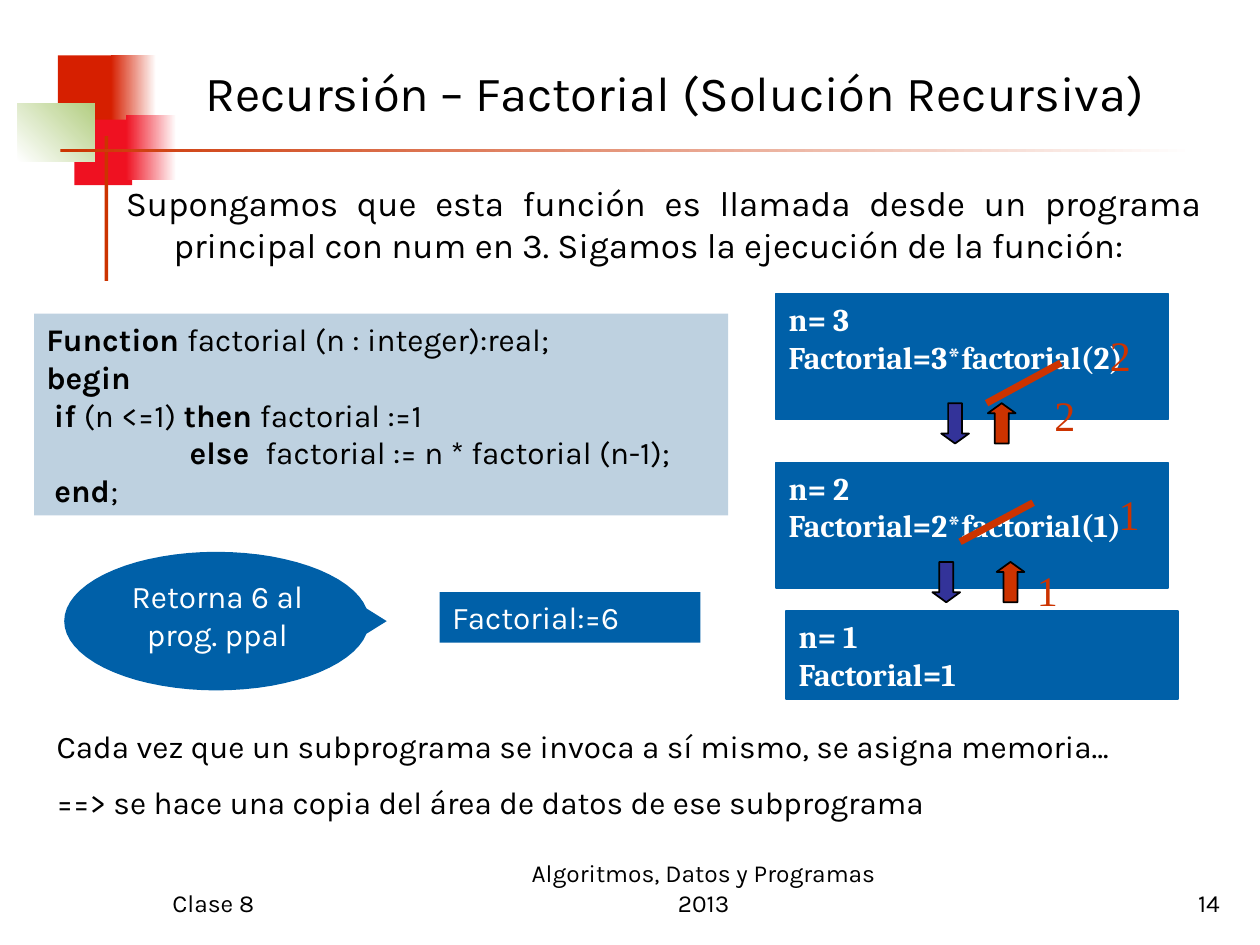
import math

import pptx
import pptx.dml.color
import pptx.enum.shapes
import pptx.enum.text
import pptx.oxml
import pptx.oxml.ns
import pptx.util

Inches = pptx.util.Inches
Pt = pptx.util.Pt
SHAPES = pptx.enum.shapes.MSO_SHAPE
ALIGN = pptx.enum.text.PP_ALIGN
ANCHOR = pptx.enum.text.MSO_ANCHOR

COLORS = {
    "white": "FFFFFF", "black": "000000", "blue": "0060A8", "code": "BED1E0",
    "call": "333399", "return": "CC3300", "orange": "D61F00", "red": "EF1121",
    "green": "B3CE82",
}


def rgb(name):
    return pptx.dml.color.RGBColor.from_string(COLORS[name])


class SlideBuilder:
    def __init__(self, slide, font="Karla"):
        self.slide = slide
        self.font = font

    def fill_text(self, shape, paragraphs, size, color="black", font=None, bold=False,
                  inset=(0.1, 0.05), anchor=ANCHOR.TOP, **paragraph_format):
        """Fill a shape with text; backticks enclose bold parts, newlines break lines."""
        frame = shape.text_frame
        side, end = (Inches(value) for value in inset)
        frame_format = {
            "word_wrap": True, "vertical_anchor": anchor, "margin_left": side,
            "margin_right": side, "margin_top": end, "margin_bottom": end,
        }
        for name, value in frame_format.items():
            setattr(frame, name, value)
        paragraph_format = {"alignment": ALIGN.LEFT, **paragraph_format}
        gap = paragraph_format.pop("gap", 0)
        for index, content in enumerate(paragraphs):
            paragraph = frame.add_paragraph() if index else frame.paragraphs[0]
            paragraph.space_before = Pt(gap if index else 0)
            for name, value in paragraph_format.items():
                setattr(paragraph, name, value)
            for line_index, line in enumerate(content.split("\n")):
                if line_index:
                    paragraph.add_line_break()
                for part_index, part in enumerate(line.split("`")):
                    if not part:
                        continue
                    run = paragraph.add_run()
                    run.text = part
                    run_format = {"name": font or self.font, "size": Pt(size),
                                  "bold": bold or part_index % 2 == 1}
                    for name, value in run_format.items():
                        setattr(run.font, name, value)
                    run.font.color.rgb = rgb(color)

    def text(self, box, paragraphs, size, **text_format):
        label = self.slide.shapes.add_textbox(*map(Inches, box))
        self.fill_text(label, paragraphs, size, **text_format)
        return label

    def paint(self, shape, fill, line=None):
        shape.shadow.inherit = False
        shape.fill.solid()
        shape.fill.fore_color.rgb = rgb(fill)
        if line:
            shape.line.color.rgb = rgb(line)
            shape.line.width = Pt(1)
        else:
            shape.line.fill.background()

    def shape(self, box, fill, line=None, kind=SHAPES.RECTANGLE):
        drawn = self.slide.shapes.add_shape(kind, *map(Inches, box))
        self.paint(drawn, fill, line)
        return drawn

    def fade(self, box, start, end, angle=0):
        band = self.shape(box, start)
        band.fill.gradient()
        band.fill.gradient_angle = angle
        for stop, color in zip(band.fill.gradient_stops, (start, end)):
            stop.color.rgb = rgb(color)

    def arrow(self, left, top, kind, fill):
        block = self.shape((left, top, 0.22, 0.32), fill, "black", kind)
        block.adjustments[0] = 0.5
        block.adjustments[1] = 0.36

    def strike(self, start, end):
        stroke = self.slide.shapes.add_connector(
            pptx.enum.shapes.MSO_CONNECTOR.STRAIGHT, *map(Inches, start + end))
        stroke.line.color.rgb = rgb("return")
        stroke.line.width = Pt(4)
        properties = stroke._element.spPr
        properties.append(properties.makeelement(pptx.oxml.ns.qn("a:effectLst"), {}))

    def bubble(self, center, radii, tip, fill, opening=10.5, steps=64):
        """Draw an ellipse whose right side opens into a pointed tail."""
        angles = (math.radians(opening + (360 - 2 * opening) * step / steps)
                  for step in range(steps + 1))
        points = [tuple(Inches(middle + radius * turn) for middle, radius, turn
                        in zip(center, radii, (math.cos(angle), math.sin(angle))))
                  for angle in angles]
        outline = self.slide.shapes.build_freeform(*points[0])
        outline.add_line_segments(points[1:] + [tuple(map(Inches, tip))], close=True)
        self.paint(outline.convert_to_shape(), fill)


def main():
    deck = pptx.Presentation()
    deck.slide_width, deck.slide_height = Inches(10), Inches(7.5)
    builder = SlideBuilder(deck.slides.add_slide(deck.slide_layouts[6]))

    # Corner ornament and title rule
    builder.shape((0.46, 0.44, 0.48, 0.52), "orange")
    builder.fade((0.88, 0.44, 0.36, 0.52), "orange", "white")
    builder.shape((0.59, 0.95, 0.46, 0.52), "red")
    builder.fade((1, 0.91, 0.4, 0.52), "red", "white")
    builder.fade((0.14, 0.82, 0.61, 0.46), "white", "green", 45)
    builder.shape((0.83, 1.08, 0.03, 1.15), "return")
    builder.fade((0.48, 1.18, 9, 0.03), "return", "white")

    builder.text((1.53, 0.31, 7.95, 0.84), ["Recursión – Factorial (Solución Recursiva)"],
                 28, anchor=ANCHOR.MIDDLE)
    intro = builder.text(
        (0.9, 1.39, 8.74, 0.94),
        ["Supongamos que esta función es llamada desde un programa principal "
         "con num en 3. Sigamos la ejecución de la función:"],
        20, alignment=ALIGN.JUSTIFY)
    hanging = intro.text_frame.paragraphs[0]._p.get_or_add_pPr()
    hanging.set("marL", str(Inches(0.38)))
    hanging.set("indent", str(-Inches(0.38)))

    code = builder.shape((0.27, 2.49, 5.51, 1.6), "code")
    builder.fill_text(code, [
        "`Function `factorial (n : integer):real;",
        "`begin`",
        " `if `(n <=1) `then `factorial :=1",
        "`                  else  `factorial := n * factorial (n-1);",
        "` end`;",
    ], 18)

    # Stack of recursive calls
    for left, top, height, state in (
        (6.16, 2.33, 1, "n= 3\nFactorial=3*factorial(2)"),
        (6.16, 3.67, 1, "n= 2\nFactorial=2*factorial(1)"),
        (6.24, 4.85, 0.7, "n= 1\nFactorial=1"),
    ):
        call = builder.shape((left, top, 3.11, height), "blue", "blue")
        builder.fill_text(call, [state], 18, color="white", font="Cambria", bold=True)

    for top, call_left, return_left in ((3.2, 7.47, 7.84), (4.46, 7.4, 7.91)):
        builder.arrow(call_left, top, SHAPES.DOWN_ARROW, "call")
        builder.arrow(return_left, top, SHAPES.UP_ARROW, "return")
    builder.strike((8.42, 2.88), (7.83, 3.2))
    builder.strike((8.2, 3.99), (7.62, 4.3))
    for left, top, result in ((8.71, 2.57, "2"), (8.27, 3.04, "2"),
                              (8.78, 3.83, "1"), (8.13, 4.43, "1")):
        builder.text((left, top, 0.51, 0.5), [result], 24,
                     color="return", font="Times New Roman")

    # Value handed back to the main program
    final_value = builder.shape((3.49, 4.7, 2.07, 0.4), "blue")
    builder.fill_text(final_value, ["Factorial:=6"], 18, color="white")
    builder.bubble((1.72, 4.93), (1.21, 0.55), (3.07, 4.93), "blue")
    answer = builder.shape((0.92, 4.58, 1.61, 0.7), "blue")
    builder.fill_text(answer, ["Retorna 6 al prog. ppal"], 18, color="white",
                      inset=(0, 0), alignment=ALIGN.CENTER)

    builder.text((0.35, 5.72, 9.21, 0.85), [
        "Cada vez que un subprograma se invoca a sí mismo, se asigna memoria…",
        "==> se hace una copia del área de datos de ese subprograma",
    ], 18, alignment=ALIGN.JUSTIFY, gap=10.7)

    for left, width, footer, alignment in (
        (1.27, 2.08, "Clase 8", ALIGN.LEFT),
        (4, 3.17, "Algoritmos, Datos y Programas 2013", ALIGN.CENTER),
        (7.7, 2.08, "14", ALIGN.RIGHT),
    ):
        builder.text((left, 6.83, width, 0.5), [footer], 14,
                     anchor=ANCHOR.BOTTOM, alignment=alignment)

    deck.save("out.pptx")


if __name__ == "__main__":
    main()
